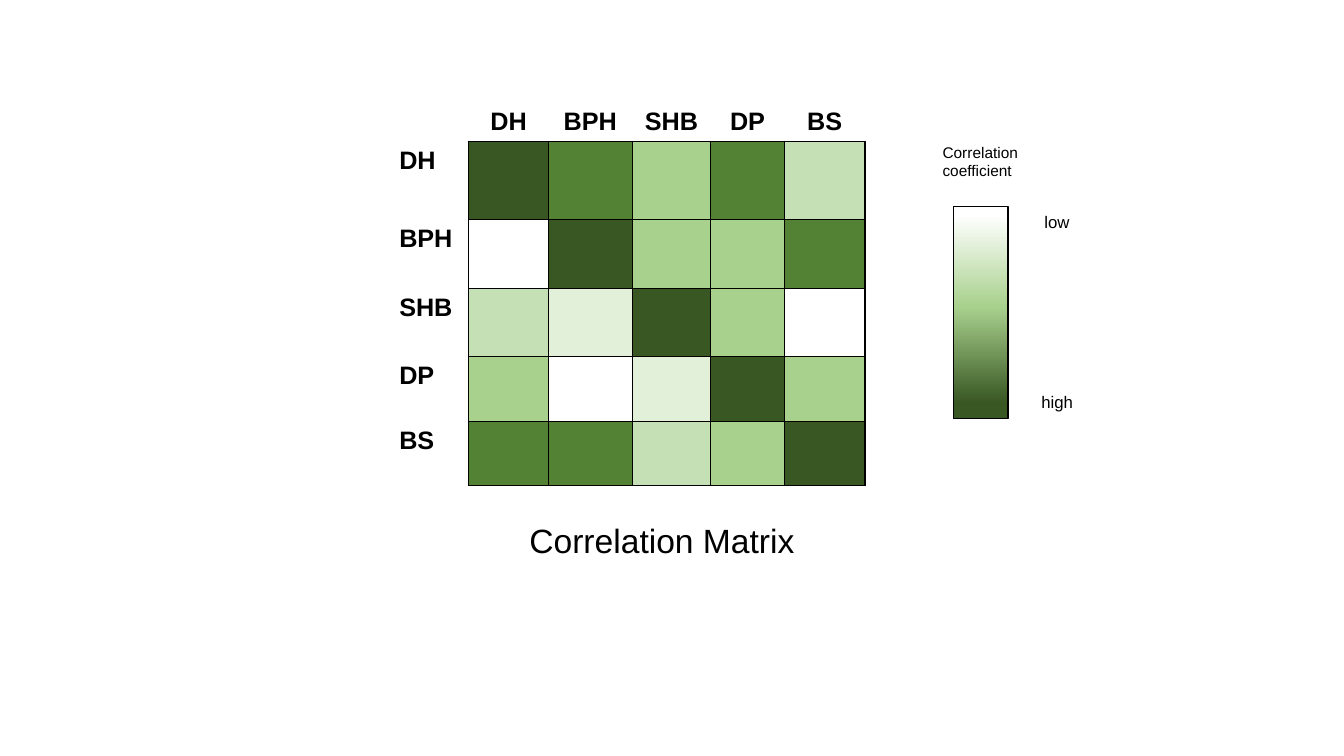
import copy

from lxml import etree
from pptx import Presentation
from pptx.dml.color import RGBColor
from pptx.enum import shapes, text
from pptx.oxml import ns
from pptx.util import Inches, Pt

BLACK = RGBColor(0x00, 0x00, 0x00)
WHITE = RGBColor(0xFF, 0xFF, 0xFF)
PALE = RGBColor(0xE2, 0xF0, 0xD9)
LIGHT = RGBColor(0xC5, 0xE0, 0xB4)
MEDIUM = RGBColor(0xA9, 0xD1, 0x8E)
STRONG = RGBColor(0x54, 0x82, 0x35)
DARK = RGBColor(0x38, 0x57, 0x23)

TRAITS = ["DH", "BPH", "SHB", "DP", "BS"]
MATRIX = [
    [DARK, STRONG, MEDIUM, STRONG, LIGHT],
    [WHITE, DARK, MEDIUM, MEDIUM, STRONG],
    [LIGHT, PALE, DARK, MEDIUM, WHITE],
    [MEDIUM, WHITE, PALE, DARK, MEDIUM],
    [STRONG, STRONG, LIGHT, MEDIUM, DARK],
]
COL_WIDTHS = [0.79, 0.79, 0.83, 0.78, 0.73, 0.8]
ROW_HEIGHTS = [0.88, 0.78, 0.68, 0.68, 0.64, 0.64]
SCALE = [(0.04, WHITE), (0.47, MEDIUM), (0.93, DARK)]

LEFT, CENTER = text.PP_ALIGN.LEFT, text.PP_ALIGN.CENTER
TOP, MIDDLE, BOTTOM = text.MSO_ANCHOR.TOP, text.MSO_ANCHOR.MIDDLE, text.MSO_ANCHOR.BOTTOM
GROW = text.MSO_AUTO_SIZE.SHAPE_TO_FIT_TEXT


def apply(obj, fmt):
    for name, value in fmt.items():
        setattr(obj, name, value)


def write(tf, words, size, align=LEFT, bold=False):
    p = tf.paragraphs[0]
    p.alignment = align
    r = p.add_run()
    r.text = words
    apply(r.font, {"name": "Arial", "size": Pt(size), "bold": bold})
    r.font.color.rgb = BLACK


def add_label(s, words, box, size, align=LEFT, **frame):
    tf = s.shapes.add_textbox(*map(Inches, box)).text_frame
    apply(tf, {"word_wrap": True, "auto_size": GROW, **frame})
    write(tf, words, size, align)


def add_borders(cell, sides):
    tc_pr = cell._tc.get_or_add_tcPr()
    for side in sides:
        ln = etree.SubElement(tc_pr, ns.qn(f"a:ln{side}"), w=str(Pt(1)))
        fill = etree.SubElement(ln, ns.qn("a:solidFill"))
        etree.SubElement(fill, ns.qn("a:srgbClr"), val=str(BLACK))


def label_cell(cell, words, side, align, anchor):
    add_borders(cell, side)
    cell.fill.background()
    cell.vertical_anchor = anchor
    write(cell.text_frame, words, 18, align, bold=True)


def color_cell(cell, color):
    add_borders(cell, "LRTB")
    cell.fill.solid()
    cell.fill.fore_color.rgb = color


def add_matrix(s, left, top):
    size = Inches(sum(COL_WIDTHS)), Inches(sum(ROW_HEIGHTS))
    table = s.shapes.add_table(
        len(ROW_HEIGHTS), len(COL_WIDTHS), Inches(left), Inches(top), *size).table
    apply(table, {"first_row": False, "horz_banding": False})
    for col, width in zip(table.columns, COL_WIDTHS):
        col.width = Inches(width)
    for row, height in zip(table.rows, ROW_HEIGHTS):
        row.height = Inches(height)
    table.cell(0, 0).fill.background()
    for i, trait in enumerate(TRAITS, 1):
        label_cell(table.cell(0, i), trait, "B", CENTER, BOTTOM)
        label_cell(table.cell(i, 0), trait, "R", LEFT, TOP)
        for j, color in enumerate(MATRIX[i - 1], 1):
            color_cell(table.cell(i, j), color)


def add_scale(s, box):
    sp = s.shapes.add_shape(shapes.MSO_SHAPE.RECTANGLE, *map(Inches, box))
    sp.shadow.inherit = False
    sp.line.color.rgb = BLACK
    sp.line.width = Pt(1)
    sp.fill.gradient()
    sp.fill.gradient_angle = 270
    stops = sp._element.spPr.find(".//" + ns.qn("a:gsLst"))
    stops.append(copy.deepcopy(stops[-1]))
    for stop, (position, color) in zip(sp.fill.gradient_stops, SCALE):
        stop.position = position
        stop.color.rgb = color


def main():
    prs = Presentation()
    apply(prs, {"slide_width": Inches(13.33), "slide_height": Inches(7.5)})
    s = prs.slides.add_slide(prs.slide_layouts[6])
    add_matrix(s, 3.86, 0.52)
    add_label(s, "Correlation Matrix", (4.56, 4.98, 4.01, 0.76), 24, CENTER,
              vertical_anchor=MIDDLE, auto_size=text.MSO_AUTO_SIZE.NONE)
    add_scale(s, (9.46, 2.05, 0.54, 2.1))
    add_label(s, "Correlation coefficient", (9.25, 1.37, 1.23, 0.47), 11)
    add_label(s, "low", (10.26, 2.05, 0.45, 0.3), 12, word_wrap=False)
    add_label(s, "high", (10.23, 3.84, 0.65, 0.3), 12)
    prs.save("out.pptx")


if __name__ == "__main__":
    main()
